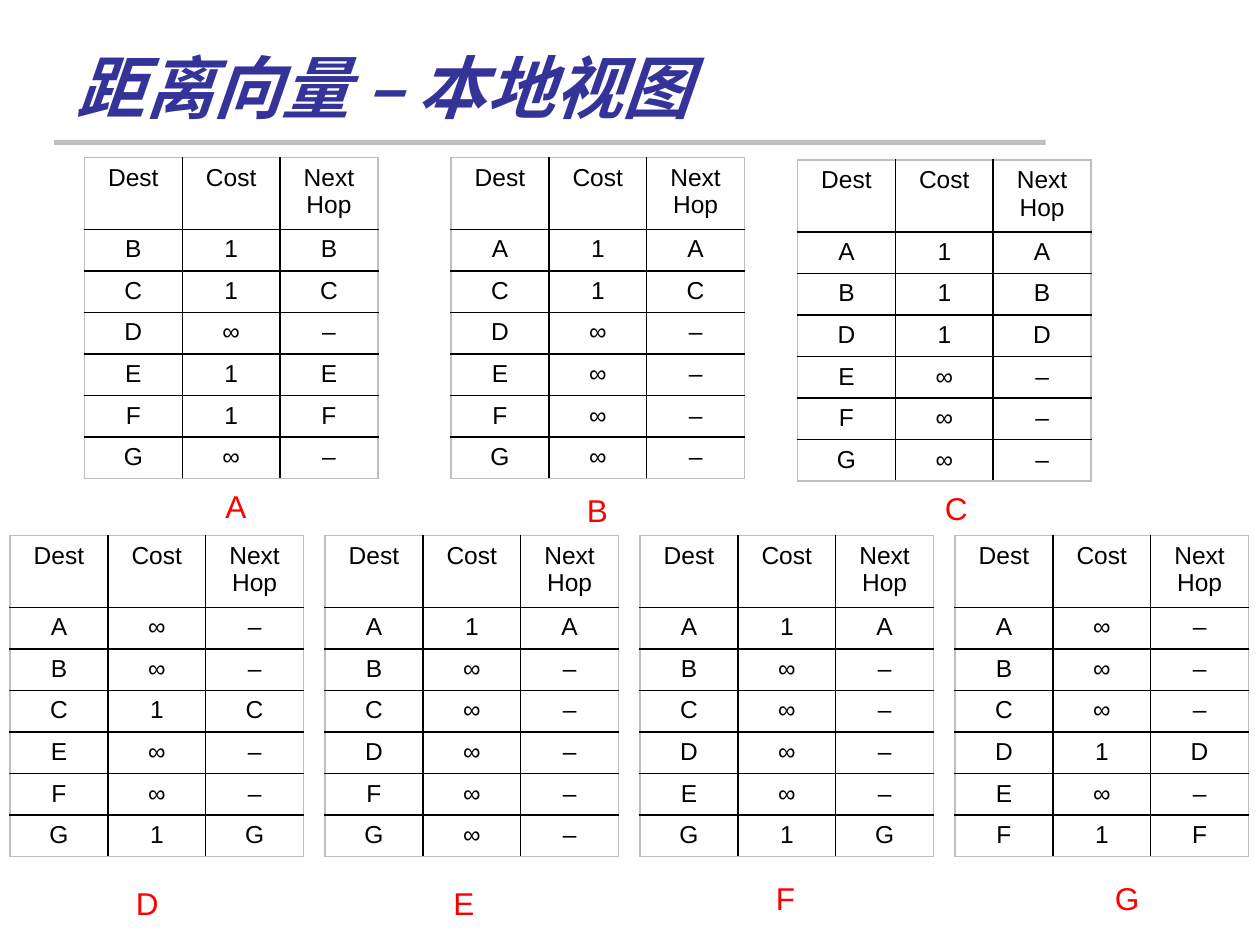
from lxml import etree
from pptx import Presentation
from pptx.dml.color import RGBColor
from pptx.enum import shapes, text
from pptx.oxml import ns
from pptx.util import Inches, Pt

NAVY = RGBColor(0x33, 0x33, 0x99)
GRAY = RGBColor(0xBF, 0xBF, 0xBF)
BLACK = RGBColor(0, 0, 0)
RED = RGBColor(0xFF, 0, 0)

NODES = "ABCDEFG"
LINKS = {"A": "BCEF", "B": "AC", "C": "ABD", "D": "CG",
         "E": "A", "F": "AG", "G": "DF"}
HEAD = ("Dest", "Cost", "Next Hop")
WIDTH, HEIGHT = Inches(2.33), Inches(2.57)
HEAD_H, ROW_H = Inches(0.57), Inches(0.33)

# Table left and top, then label left and top, in inches
TOP = {"A": (0.67, 1.25, 1.69, 3.82),
       "B": (3.58, 1.25, 4.56, 3.85),
       "C": (6.33, 1.27, 7.4, 3.83)}
LABELS = {"D": (0.98, 6.97), "E": (3.5, 6.97),
          "F": (6.06, 6.93), "G": (8.75, 6.93)}
LOW = {node: (0.08 + 2.5 * i, 4.25, *spot)
       for i, (node, spot) in enumerate(LABELS.items())}


def style(para, size, color, face="Arial"):
    font = para.runs[0].font
    font.name, font.size, font.color.rgb = face, Pt(size), color
    return font


def add_title(slide, left, top, width, height):
    title = slide.shapes.title
    title.left, title.top, title.width, title.height = left, top, width, height
    frame = title.text_frame
    frame.text = "距离向量 – 本地视图"
    frame.vertical_anchor = text.MSO_ANCHOR.BOTTOM
    para = frame.paragraphs[0]
    para.alignment = text.PP_ALIGN.LEFT
    font = style(para, 39, NAVY, "Calibri")
    font.bold = font.italic = True


def add_rule(slide, left, top, width, height):
    rule = slide.shapes.add_shape(
        shapes.MSO_SHAPE.RECTANGLE, left, top, width, height)
    rule.shadow.inherit = False
    rule.fill.solid()
    rule.fill.fore_color.rgb = GRAY
    rule.line.fill.background()


def add_border(cell, side, color):
    props = cell._tc.get_or_add_tcPr()
    line = etree.SubElement(props, ns.qn(f"a:ln{side}"), w=str(Pt(1)))
    fill = etree.SubElement(line, ns.qn("a:solidFill"))
    etree.SubElement(fill, ns.qn("a:srgbClr"), val=str(color))


def routes(node):
    """Give the rows of what a node knows from its own links."""
    rows = [HEAD]
    for dest in NODES.replace(node, ""):
        near = dest in LINKS[node]
        rows.append((dest, "1" if near else "∞", dest if near else "–"))
    return rows


def add_routes(slide, node, left, top):
    rows = routes(node)
    last_r, last_c = len(rows) - 1, len(HEAD) - 1
    table = slide.shapes.add_table(
        len(rows), len(HEAD), left, top, WIDTH, HEIGHT).table
    table.first_row = table.horz_banding = False
    for r, row in enumerate(rows):
        table.rows[r].height = ROW_H if r else HEAD_H
        for c, word in enumerate(row):
            cell = table.cell(r, c)
            edges = {"L": c == 0, "R": c == last_c,
                     "T": r == 0, "B": r == last_r}
            for side, outer in edges.items():
                add_border(cell, side, GRAY if outer else BLACK)
            cell.fill.background()
            cell.text_frame.text = word
            para = cell.text_frame.paragraphs[0]
            para.alignment = text.PP_ALIGN.CENTER
            style(para, 14, BLACK)


def add_label(slide, node, left, top):
    box = slide.shapes.add_textbox(left, top, Inches(0.37), Inches(0.4))
    frame = box.text_frame
    frame.word_wrap = False
    frame.auto_size = text.MSO_AUTO_SIZE.SHAPE_TO_FIT_TEXT
    frame.text = node
    style(frame.paragraphs[0], 18, RED)


def main():
    deck = Presentation()
    deck.slide_width, deck.slide_height = Inches(10), Inches(7.5)
    slide = deck.slides.add_slide(deck.slide_layouts[5])
    add_rule(slide, Inches(0.43), Inches(1.11), Inches(7.87), Inches(0.04))
    add_title(slide, Inches(0.51), Inches(0.28), Inches(8.25), Inches(0.78))
    spots = {**TOP, **LOW}
    for node, (left, top, _, _) in spots.items():
        add_routes(slide, node, Inches(left), Inches(top))
    for node, (_, _, left, top) in spots.items():
        add_label(slide, node, Inches(left), Inches(top))
    deck.save("out.pptx")


if __name__ == "__main__":
    main()
